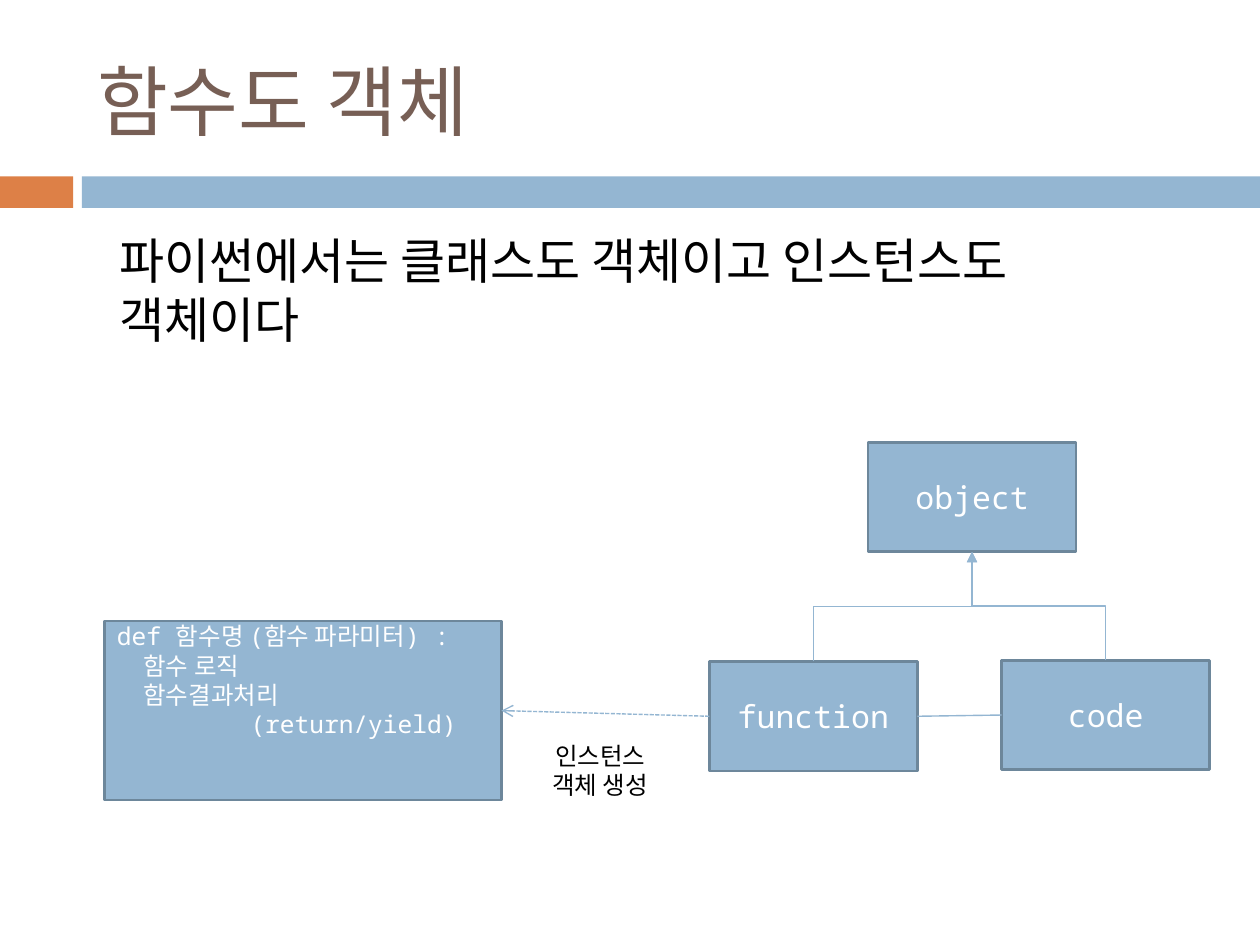
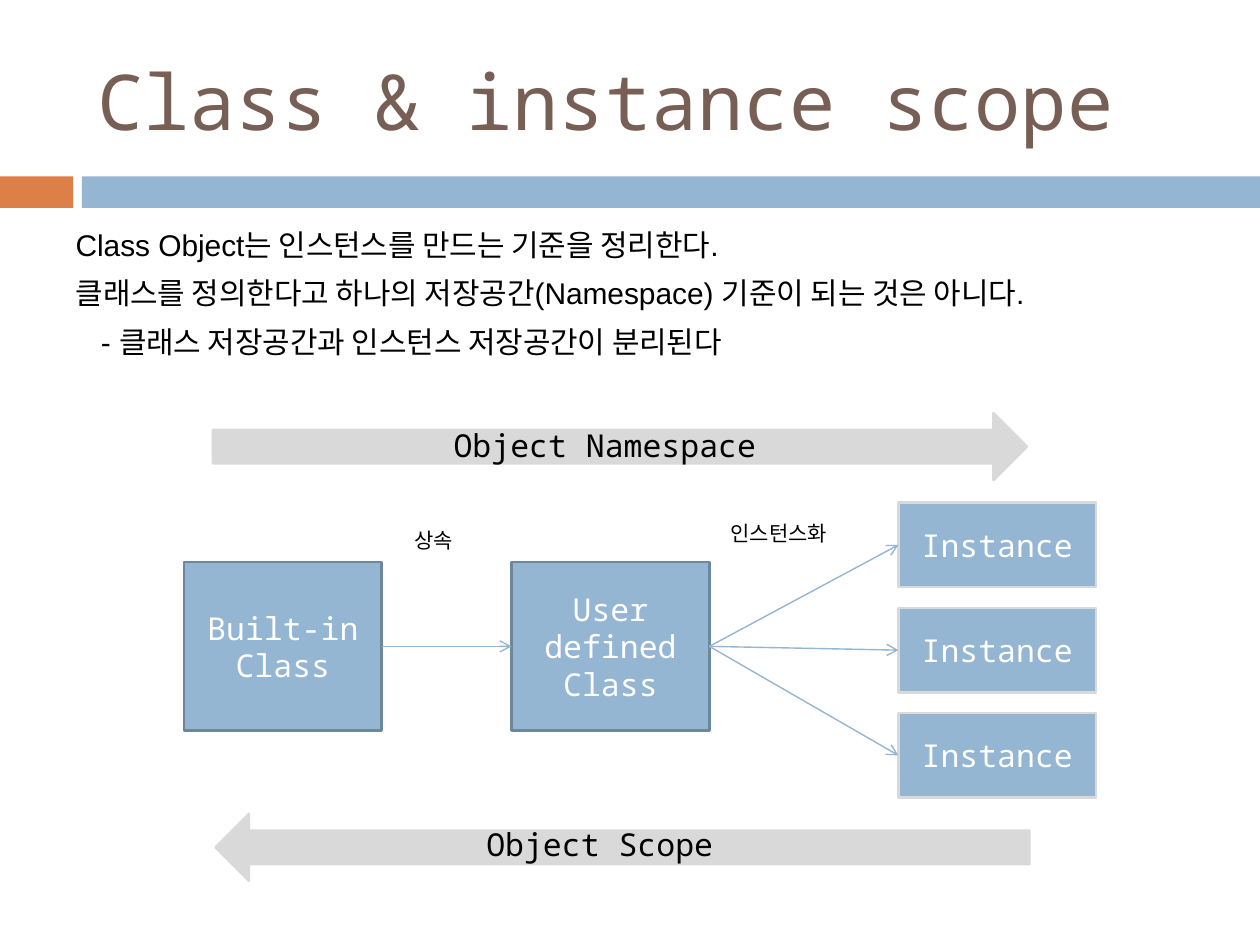
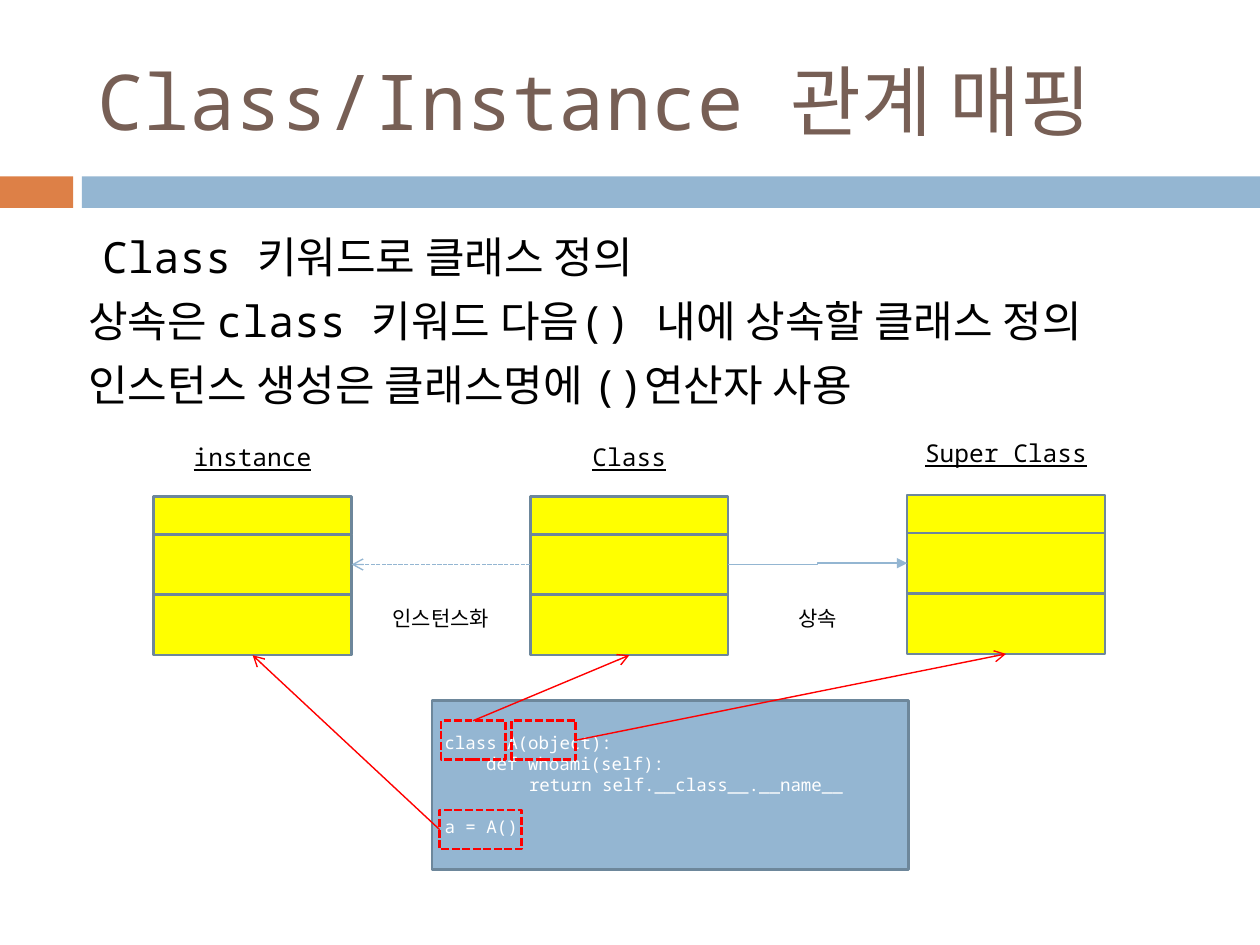
from collections import namedtuple
from dataclasses import dataclass
from pptx import Presentation
from pptx.dml.color import RGBColor as RGB
from pptx.enum.dml import MSO_LINE as Dash
from pptx.enum.shapes import MSO_CONNECTOR as Link, MSO_SHAPE as Form
from pptx.enum.text import MSO_ANCHOR as Anchor, MSO_AUTO_SIZE as Fit, PP_ALIGN as Align
from pptx.oxml.ns import qn
from pptx.oxml.xmlchemy import OxmlElement as Node
from pptx.util import Inches, Pt


@dataclass(frozen=True)
class Theme:
    blue = RGB.from_string("94B6D2")
    edge = RGB.from_string("6D879B")
    rust = RGB.from_string("DD8047")
    brown = RGB.from_string("775F55")
    gray = RGB.from_string("D9D9D9")
    gold = RGB.from_string("FFFF00")
    red = RGB.from_string("FF0000")
    white = RGB.from_string("FFFFFF")
    black = RGB.from_string("000000")
    mono = "Noto Sans Mono"
    sans = "Arial"
    title = 44
    label = 18
    head = 14
    note = 12
    code = 10
    thick = 1.5
    thin = 0.79


T = Theme()
Box = namedtuple("Box", "x y w h")
Row = namedtuple("Row", "text dent gap", defaults=(0, 0))
TOP, LEFT, BOTTOM, RIGHT = range(4)


def sub(box, x, y, w, h):
    return Box(box.x + x, box.y + y, w, h)


def units(box):
    return [Inches(v) for v in box]


def write(frame, rows, size, color, font=T.mono, align=Align.LEFT, under=None):
    frame.word_wrap = True
    frame.auto_size = Fit.NONE
    for i, row in enumerate(rows):
        row = Row(row) if isinstance(row, str) else row
        para = frame.paragraphs[0] if i == 0 else frame.add_paragraph()
        para.text = row.text
        para.alignment = align
        para.space_before = Pt(row.gap)
        props = para._p.get_or_add_pPr()
        props.set("marL", str(Inches(row.dent)))
        props.set("indent", "0")
        props.append(Node("a:buNone"))
        style = para.runs[0].font
        style.name, style.size, style.underline = font, Pt(size), under
        style.color.rgb = color


def block(slide, box, rows=(), fill=T.blue, line=T.edge, form=Form.RECTANGLE,
          size=T.label, align=Align.CENTER):
    shape = slide.shapes.add_shape(form, *units(box))
    shape.shadow.inherit = False
    if fill is None:
        shape.fill.background()
    else:
        shape.fill.solid()
        shape.fill.fore_color.rgb = fill
    if line is None:
        shape.line.fill.background()
    else:
        shape.line.color.rgb = line
        shape.line.width = Pt(T.thick)
    if rows:
        write(shape.text_frame, rows, size, T.white, align=align)
        shape.text_frame.vertical_anchor = Anchor.MIDDLE
    return shape


def label(slide, box, rows, size=T.note, align=Align.CENTER, under=None):
    area = slide.shapes.add_textbox(*units(box))
    write(area.text_frame, rows, size, T.black, align=align, under=under)


def ink(wire, color=T.blue, tip="arrow", dash=None):
    wire.line.color.rgb = color
    wire.line.width = Pt(T.thin)
    if dash:
        wire.line.dash_style = dash
    props = wire.element.spPr
    if tip:
        tail = Node("a:tailEnd")
        tail.set("type", tip)
        props.find(qn("a:ln")).append(tail)
    props.append(Node("a:effectLst"))


def join(slide, start, out, end, into, form=Link.STRAIGHT, **look):
    wire = slide.shapes.add_connector(form, 0, 0, 0, 0)
    wire.begin_connect(start, out)
    wire.end_connect(end, into)
    ink(wire, **look)


def rise(slide, child, base):
    x1, y1 = child.left + child.width // 2, child.top
    x2, y2 = base.left + base.width // 2, base.top + base.height
    mx, my = (x1 + x2) // 2, (y1 + y2) // 2
    dx, dy = (y1 - y2) // 2, (x2 - x1) // 2
    wire = slide.shapes.add_connector(Link.ELBOW, mx + dx, my + dy, mx - dx, my - dy)
    wire.element.spPr.find(qn("a:xfrm")).set("rot", "5400000")
    ink(wire, tip="triangle")


def place(shape, box):
    shape.left, shape.top, shape.width, shape.height = units(box)


def bands(deck, slide, box):
    for part, color in ((sub(box, 0, 0, 0.58, box.h), T.rust),
                        (sub(box, 0.65, 0, box.w - 0.65, box.h), T.blue)):
        band = block(slide, part, fill=color, line=None)
        deck.slide_master.shapes.element.append(band.element)


def page(deck, title, box, rows, size, font=T.mono, level=0):
    slide = deck.slides.add_slide(deck.slide_layouts[1])
    head, body = slide.shapes.title, slide.placeholders[1]
    place(head, Box(0.67, 0.25, 8.92, 1.08))
    write(head.text_frame, [title], T.title, T.brown)
    head.text_frame.vertical_anchor = Anchor.MIDDLE
    place(body, box)
    write(body.text_frame, rows, size, T.black, font)
    body.text_frame.vertical_anchor = Anchor.TOP
    for para in body.text_frame.paragraphs:
        para.level = level
    return slide


def tree(slide, box):
    base, func, code = [
        block(slide, sub(box, x, y, 1.65, 0.87), [name])
        for name, x, y in (("object", 6.06, 0), ("function", 4.8, 1.74), ("code", 7.12, 1.73))]
    rows = ["def 함수명 (함수 파라미터) :", Row("함수 로직", 0.21),
            Row("함수결과처리", 0.21), Row("(return/yield)", 1.06)]
    body = block(slide, sub(box, 0, 1.42, 3.15, 1.42), rows, size=T.head, align=Align.LEFT)
    frame = body.text_frame
    frame.vertical_anchor = Anchor.TOP
    frame.margin_top, frame.margin_right = 0, Inches(0.2)
    rise(slide, func, base)
    rise(slide, code, base)
    join(slide, func, RIGHT, code, LEFT, tip=None)
    join(slide, func, LEFT, body, RIGHT, dash=Dash.SQUARE_DOT)
    label(slide, sub(box, 3.07, 2.32, 1.73, 0.57), ["인스턴스", "객체 생성"], T.head)


def sweep(slide, box, text, area, turn=0):
    arrow = block(slide, box, fill=T.gray, line=T.gray, form=Form.RIGHT_ARROW)
    arrow.rotation = turn
    label(slide, sub(box, *area), [text], T.label)


def flow(slide, box):
    base, user = [
        block(slide, sub(box, x, 0.47, 1.57, 1.34), rows)
        for x, rows in ((0, ["Built-in", "Class"]), (2.6, ["User defined", "Class"]))]
    join(slide, base, RIGHT, user, LEFT)
    for i in range(3):
        item = block(slide, sub(box, 5.67, i * 0.835, 1.57, 0.67), ["Instance"], line=T.gray)
        join(slide, user, RIGHT, item, LEFT)
    label(slide, sub(box, 1.73, 0.15, 0.87, 0.3), ["상속"], align=Align.LEFT)
    label(slide, sub(box, 4.24, 0.09, 1.19, 0.3), ["인스턴스화"], align=Align.LEFT)


def card(slide, box, name, lift):
    label(slide, sub(box, 0, lift, box.w, 0.34), [name], T.head, under=True)
    group = slide.shapes.add_group_shape()
    host = namedtuple("Host", "shapes")(group.shapes)
    return [block(host, sub(box, 0, y, box.w, h), fill=T.gold)
            for y, h in ((0, 0.3), (0.3, 0.48), (0.78, 0.48))]


def source(slide, box):
    rows = ["class A(object):", Row("def whoami(self):", 0.33),
            Row("return self.__class__.__name__", 0.67), Row("a = A()", 0, 12)]
    block(slide, box, rows, size=T.code, align=Align.LEFT)
    marks = []
    for x, y, w in ((0.07, 0.16, 0.51), (0.63, 0.16, 0.51), (0.06, 0.87, 0.65)):
        mark = block(slide, sub(box, x, y, w, 0.31), fill=None, line=T.red)
        mark.line.dash_style = Dash.SQUARE_DOT
        marks.append(mark)
    return marks


def mapping(slide, box):
    item, kind, base = [
        card(slide, sub(box, i * 2.99, y, 1.57, 1.26), name, lift)
        for i, (name, y, lift) in enumerate((
            ("instance", 0.01, -0.48), ("Class", 0.01, -0.48), ("Super Class", 0, -0.5)))]
    join(slide, kind[1], RIGHT, base[1], LEFT, Link.ELBOW, tip="triangle")
    join(slide, kind[1], LEFT, item[1], RIGHT, dash=Dash.SQUARE_DOT)
    label(slide, sub(box, 4.8, 0.83, 0.94, 0.3), ["상속"])
    label(slide, sub(box, 1.73, 0.83, 1.1, 0.3), ["인스턴스화"])
    marks = source(slide, sub(box, 2.21, 1.63, 3.78, 1.34))
    for mark, out, goal in zip(marks, (TOP, RIGHT, LEFT), (kind, base, item)):
        join(slide, mark, out, goal[2], BOTTOM, color=T.red)


deck = Presentation()
deck.slide_width, deck.slide_height = Inches(10), Inches(7.5)

slide = page(deck, "함수도 객체", Box(0.5, 1.78, 9, 1.42),
             [Row("파이썬에서는 클래스도 객체이고 인스턴스도 객체이다", 0.35, 5.5)], 28, level=1)
bands(deck, slide, Box(0, 1.4, 10, 0.25))
tree(slide, Box(0.83, 3.51, 8.77, 2.89))

slide = page(deck, "Class & instance scope", Box(0.5, 1.75, 9, 1.37), [
    Row("Class Object는 인스턴스를 만드는 기준을 정리한다.", 0, 7),
    Row("클래스를 정의한다고 하나의 저장공간(Namespace) 기준이 되는 것은 아니다.", 0, 7),
    Row("- 클래스 저장공간과 인스턴스 저장공간이 분리된다", 0.2, 7)], 17.1, T.sans)
flow(slide, Box(1.46, 3.99, 7.24, 2.34))
sweep(slide, Box(1.69, 3.28, 6.46, 0.53), "Object Namespace", (1.34, 0.05, 3.54, 0.4))
sweep(slide, Box(1.71, 6.46, 6.46, 0.53), "Object Scope", (1.95, 0.04, 2.2, 0.4), 180)

slide = page(deck, "Class/Instance 관계 매핑", Box(0.5, 1.78, 9, 1.3), [
    Row("Class 키워드로 클래스 정의", 0.21, 7),
    Row("상속은 class 키워드 다음() 내에 상속할 클래스 정의", 0.1, 7),
    Row("인스턴스 생성은 클래스명에 ()연산자 사용", 0.1, 7)], 24.6)
mapping(slide, Box(1.22, 3.93, 7.55, 2.97))

deck.save("out.pptx")
